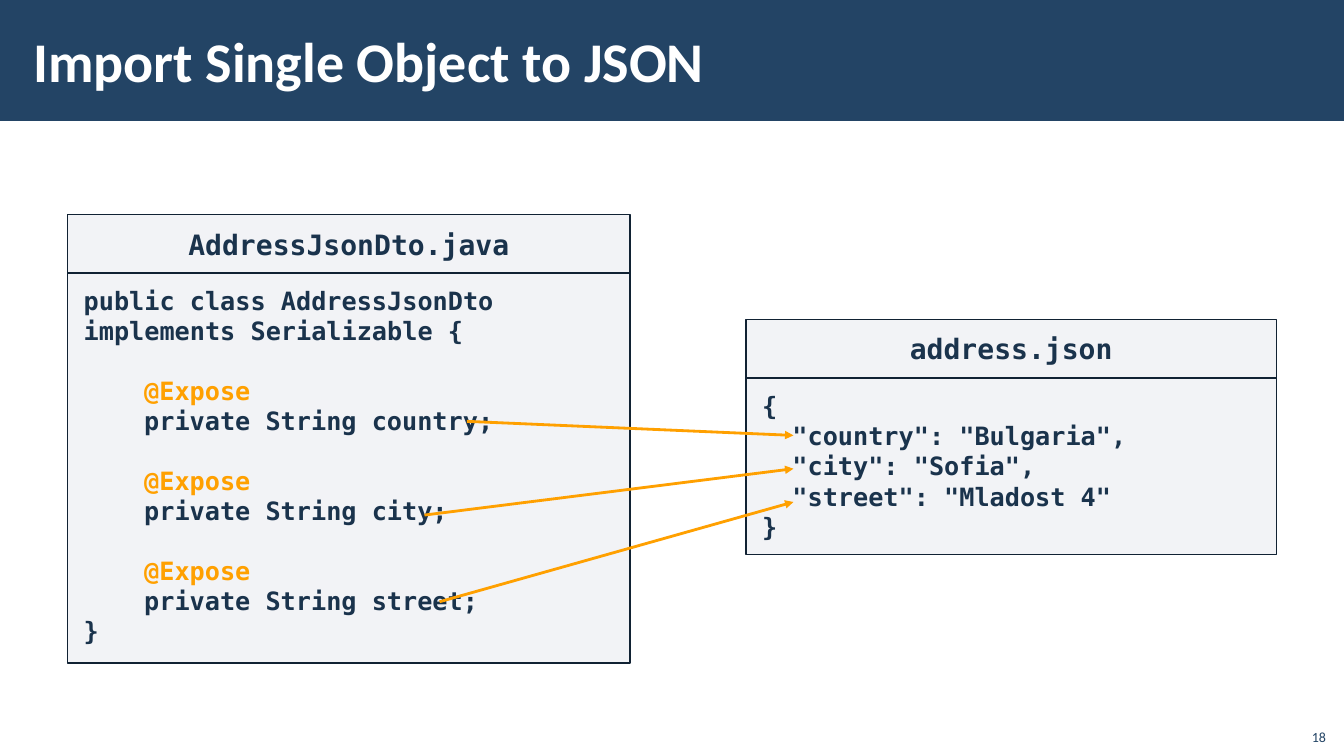
"""Build a slide that maps the fields of a Java class to a JSON file."""
from dataclasses import dataclass

from lxml import etree
from pptx import Presentation
from pptx.dml.color import RGBColor
from pptx.enum.shapes import MSO_CONNECTOR, MSO_SHAPE
from pptx.enum.text import MSO_ANCHOR, MSO_AUTO_SIZE, PP_ALIGN
from pptx.oxml.ns import qn
from pptx.util import Emu, Pt

RECT = MSO_SHAPE.RECTANGLE
STRAIGHT = MSO_CONNECTOR.STRAIGHT
TOP, MIDDLE, BOTTOM = MSO_ANCHOR.TOP, MSO_ANCHOR.MIDDLE, MSO_ANCHOR.BOTTOM
LEFT, CENTER, RIGHT = PP_ALIGN.LEFT, PP_ALIGN.CENTER, PP_ALIGN.RIGHT
FIXED = MSO_AUTO_SIZE.NONE

SCALE = 9144
SANS, MONO = "Calibri", "DejaVu Sans Mono"
WHITE, NAVY, INK = "FFFFFF", "234465", "1A334C"
EDGE, GREY, AMBER = "112233", "ADB4C3", "FFA000"
HEAD = 58
CODE = 18
GAP = 21


@dataclass(frozen=True)
class Line:
    text: str
    indent: int = 0
    gap: int = 0
    color: str = INK


@dataclass(frozen=True)
class Panel:
    left: int
    top: int
    width: int
    height: int
    name: str
    lines: list[Line]


@dataclass(frozen=True)
class Arrow:
    x: int
    y: int
    end: int


def field(name: str) -> list[Line]:
    return [Line("@Expose", 60, GAP, AMBER), Line(f"private String {name};", 60)]


PANELS = [
    Panel(67, 213, 558, 387, "AddressJsonDto.java", [
        Line("public class AddressJsonDto implements Serializable {"),
        *field("country"), *field("city"), *field("street"),
        Line("}"),
    ]),
    Panel(740, 317, 526, 175, "address.json", [
        Line("{"),
        Line('"country": "Bulgaria",', 30),
        Line('"city": "Sofia",', 30),
        Line('"street": "Mladost 4"', 30),
        Line("}"),
    ]),
]
TIP = 787
ARROWS = [Arrow(463, 418, 432), Arrow(421, 511, 465), Arrow(436, 597, 498)]


def px(value: int) -> Emu:
    return Emu(value * SCALE)


def rgb(color: str) -> RGBColor:
    return RGBColor.from_string(color)


def setup(frame, anchor, side: int, edge: int) -> None:
    frame.word_wrap = True
    frame.auto_size = FIXED
    frame.vertical_anchor = anchor
    frame.margin_left = frame.margin_right = px(side)
    frame.margin_top = frame.margin_bottom = px(edge)


def write(para, text: str, font: str, size: int, color: str, align, bold: bool = True) -> None:
    para.alignment = align
    run = para.add_run()
    run.text = text
    run.font.name = font
    run.font.size = Pt(size)
    run.font.bold = bold
    run.font.color.rgb = rgb(color)


def add_box(slide, left: int, top: int, width: int, height: int, fill: str):
    box = slide.shapes.add_shape(RECT, px(left), px(top), px(width), px(height))
    box.shadow.inherit = False
    box.fill.solid()
    box.fill.fore_color.rgb = rgb(fill)
    return box


def add_cell(slide, panel: Panel, top: int, height: int, anchor):
    cell = add_box(slide, panel.left, top, panel.width, height, GREY)
    tint = cell.fill._xPr.find(f".//{qn('a:srgbClr')}")
    etree.SubElement(tint, qn("a:alpha"), val="15000")
    cell.line.color.rgb = rgb(EDGE)
    cell.line.width = Pt(1)
    setup(cell.text_frame, anchor, 16, 12)
    return cell.text_frame


def add_panel(slide, panel: Panel) -> None:
    body = add_cell(slide, panel, panel.top + HEAD, panel.height, TOP)
    for i, line in enumerate(panel.lines):
        para = body.add_paragraph() if i else body.paragraphs[0]
        para.space_before = Pt(line.gap)
        write(para, line.text, MONO, CODE, line.color, LEFT)
        props = para._p.get_or_add_pPr()
        props.set("marL", str(px(line.indent)))
        props.set("indent", "0")
    head = add_cell(slide, panel, panel.top, HEAD, MIDDLE)
    write(head.paragraphs[0], panel.name, MONO, 20, INK, CENTER)


def add_arrow(slide, arrow: Arrow) -> None:
    link = slide.shapes.add_connector(STRAIGHT, px(arrow.x), px(arrow.y), px(TIP), px(arrow.end))
    link.line.color.rgb = rgb(AMBER)
    link.line.width = Pt(2)
    etree.SubElement(link.line._get_or_add_ln(), qn("a:tailEnd"), type="triangle")
    etree.SubElement(link._element.spPr, qn("a:effectLst"))


def add_title(slide, text: str) -> None:
    band = add_box(slide, 0, 0, 1334, 120, NAVY)
    band.line.fill.background()
    title = slide.shapes.title
    title._element.addprevious(band._element)
    title.left, title.top, title.width, title.height = px(21), px(11), px(1063), px(97)
    setup(title.text_frame, MIDDLE, 12, 4)
    write(title.text_frame.paragraphs[0], text, SANS, 40, WHITE, LEFT)


def add_number(slide, text: str) -> None:
    frame = slide.shapes.add_textbox(px(1285), px(712), px(40), px(32)).text_frame
    setup(frame, BOTTOM, 10, 5)
    write(frame.paragraphs[0], text, SANS, 10, NAVY, RIGHT, False)


def main() -> None:
    deck = Presentation()
    deck.slide_width, deck.slide_height = px(1333), px(750)
    slide = deck.slides.add_slide(deck.slide_layouts[5])
    add_title(slide, "Import Single Object to JSON")
    for panel in PANELS:
        add_panel(slide, panel)
    for arrow in ARROWS:
        add_arrow(slide, arrow)
    add_number(slide, "18")
    deck.save("out.pptx")


if __name__ == "__main__":
    main()
